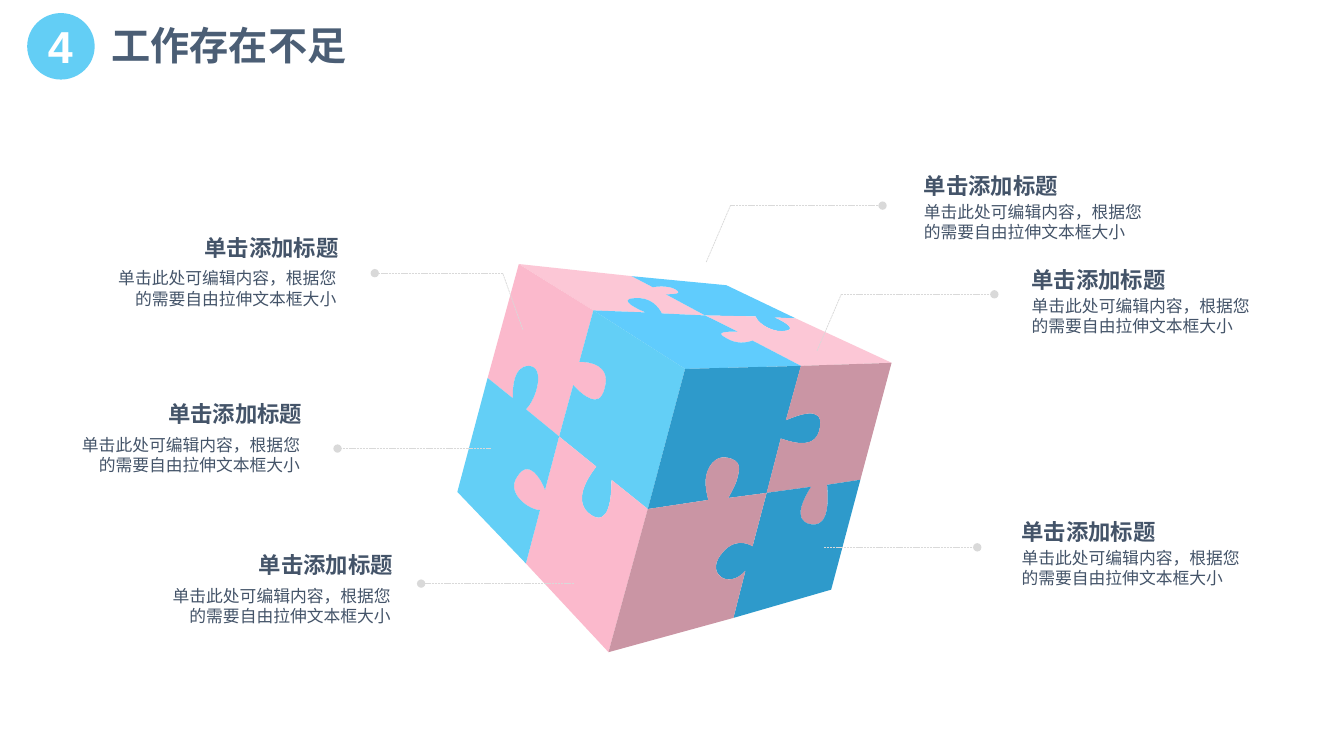
import dataclasses
import math

import lxml.etree
import pptx
import pptx.dml.color
import pptx.enum.dml
import pptx.enum.shapes
import pptx.enum.text
import pptx.oxml.ns
import pptx.util

COLUMNS, ROWS = 1334, 750
TILT = 15
TITLE = "单击添加标题"
BODY = "单击此处可编辑内容，根据您的需要自由拉伸文本框大小"
LEFT_NOTES = [(113, 232), (77, 397), (167, 547)]
RIGHT_NOTES = [(1024, 264), (917, 171), (1014, 514)]
LEADERS = [
    [(701, 260), (725, 204), (876, 204)],
    [(811, 348), (835, 292), (987, 292)],
    [(818, 543), (970, 543)],
    [(519, 327), (499, 271), (372, 271)],
    [(487, 445), (335, 445)],
    [(570, 579), (418, 579)],
]
TOP_CORNERS = [(515, 262), (721, 283), (885, 360), (680, 366)]
TOP_SEAMS = [
    [(700, 313), (661, 292), (667, 292), (676, 292), (673, 289),
     (667, 283), (653, 284), (648, 285), (627, 274)],
    [(700, 313), (750, 314), (753, 322), (769, 331), (781, 328),
     (790, 326), (778, 319), (769, 315), (790, 316)],
    [(700, 313), (732, 329), (722, 329), (709, 329), (720, 335),
     (731, 342), (741, 340), (747, 338), (795, 363)],
    [(700, 313), (657, 311), (654, 305), (646, 294), (629, 296),
     (614, 297), (631, 306), (641, 310), (589, 308)],
]
LEFT_CORNERS = [(515, 262), (680, 366), (604, 647), (454, 488)]
LEFT_SEAMS = [
    [(555, 433), (569, 382), (579, 393), (595, 406), (600, 386),
     (607, 362), (586, 359), (575, 359), (589, 308)],
    [(555, 433), (592, 463), (584, 473), (567, 498), (587, 511),
     (604, 522), (607, 495), (607, 476), (643, 505)],
    [(555, 433), (541, 486), (537, 475), (525, 455), (514, 472),
     (501, 489), (525, 506), (536, 506), (522, 559)],
    [(555, 433), (522, 406), (532, 397), (542, 364), (525, 363),
     (509, 363), (509, 386), (509, 395), (484, 375)],
]
RIGHT_CORNERS = [(680, 366), (885, 360), (825, 585), (604, 647)]
RIGHT_SEAMS = [
    [(761, 489), (775, 435), (787, 439), (811, 447), (814, 423),
     (817, 402), (792, 412), (780, 417), (795, 363)],
    [(761, 489), (805, 483), (798, 494), (786, 516), (804, 520),
     (824, 524), (822, 495), (821, 481), (854, 476)],
    [(761, 489), (747, 542), (742, 539), (728, 533), (715, 551),
     (701, 570), (724, 585), (740, 566), (728, 613)],
    [(761, 489), (723, 494), (725, 490), (731, 480), (732, 474),
     (734, 466), (737, 457), (722, 454), (709, 451), (702, 465),
     (701, 472), (699, 480), (702, 492), (703, 496), (643, 505)],
]


@dataclasses.dataclass(frozen=True)
class Theme:
    """Colours, type sizes and font of the slide."""
    font: str = "Arial"
    ink: str = "445469"
    heading: str = "4B5E75"
    white: str = "FFFFFF"
    leader: str = "D9D9D9"
    badge: str = "00B0F0"
    top: tuple = ("FCC7D6", "60CCFD")
    left: tuple = ("FBB9CC", "63CFF6")
    right: tuple = ("2E9ACB", "CA95A4")
    number_size: int = 32
    heading_size: int = 28
    title_size: int = 16
    body_size: int = 12


def turn(point, degrees):
    """Turn a point clockwise about the slide's top left corner."""
    x, y = point
    cos, sin = math.cos(math.radians(degrees)), math.sin(math.radians(degrees))
    return x * cos - y * sin, x * sin + y * cos


class Builder:
    """Draws elements on a slide, measured in columns and rows."""

    def __init__(self, prs, theme):
        """Add a blank slide and keep its grid."""
        self.theme = theme
        self.s = prs.slides.add_slide(prs.slide_layouts[6])
        self.column = prs.slide_width / COLUMNS
        self.row = prs.slide_height / ROWS

    def place(self, x, y):
        """Turn a column and a row into slide lengths."""
        return round(x * self.column), round(y * self.row)

    def fill(self, sp, color):
        """Give a shape a flat fill without outline or shadow."""
        sp.shadow.inherit = False
        sp.fill.solid()
        sp.fill.fore_color.rgb = pptx.dml.color.RGBColor.from_string(color)
        sp.line.fill.background()

    def text(self, words, x, y, w, h, size, color, bold=False, align="LEFT", inset=(0, 0)):
        """Add a text box with one paragraph."""
        tf = self.s.shapes.add_textbox(*self.place(x, y), *self.place(w, h)).text_frame
        tf.word_wrap = True
        tf.auto_size = pptx.enum.text.MSO_AUTO_SIZE.SHAPE_TO_FIT_TEXT
        tf.margin_left = tf.margin_right = round(inset[0] * self.column)
        tf.margin_top = tf.margin_bottom = round(inset[1] * self.row)
        p = tf.paragraphs[0]
        p.text = words
        p.alignment = getattr(pptx.enum.text.PP_ALIGN, align)
        p.font.size = pptx.util.Pt(size)
        p.font.bold = bold
        p.font.color.rgb = pptx.dml.color.RGBColor.from_string(color)
        p.font.name = self.theme.font
        props = p._p.pPr.find(pptx.oxml.ns.qn("a:defRPr"))
        lxml.etree.SubElement(props, pptx.oxml.ns.qn("a:ea"), typeface=self.theme.font)

    def note(self, x, y, align, gap, shift):
        """Add a title with its body text below."""
        t = self.theme
        self.text(TITLE, x + shift, y, 214, 27, t.title_size, t.ink, True, align)
        self.text(BODY, x, y + gap, 221, 40, t.body_size, t.ink, False, align)

    def piece(self, outline, curve_starts, color):
        """Draw a tilted piece, each curve taking three outline points."""
        points = [turn(self.place(*point), -TILT) for point in outline]
        builder = self.s.shapes.build_freeform(*points[0], scale=1.0)
        builder.add_line_segments(points[1:], close=True)
        sp = builder.convert_to_shape()
        lines = list(sp._element.iter(pptx.oxml.ns.qn("a:lnTo")))
        for k in curve_starts:
            curve = lxml.etree.Element(pptx.oxml.ns.qn("a:cubicBezTo"))
            lines[k].addprevious(curve)
            for line in lines[k:k + 3]:
                curve.append(line[0])
                line.getparent().remove(line)
        x, y = turn((sp.left + sp.width / 2, sp.top + sp.height / 2), TILT)
        sp.left, sp.top = round(x - sp.width / 2), round(y - sp.height / 2)
        sp.rotation = TILT
        self.fill(sp, color)

    def face(self, corners, seams, colors):
        """Draw one cube face as four interlocking pieces."""
        for i, corner in enumerate(corners):
            inward, outward = seams[i][::-1], seams[i - 1][1:]
            n = len(inward)
            starts = [*range(2, n - 1, 3), *range(n + 1, n + len(outward) - 1, 3)]
            self.piece([corner] + inward + outward, starts, colors[i % 2])

    def leader(self, points):
        """Draw a dashed leader that ends in a dot."""
        for start, end in zip(points, points[1:]):
            sp = self.s.shapes.add_connector(
                pptx.enum.shapes.MSO_CONNECTOR.STRAIGHT, *self.place(*start), *self.place(*end))
            sp.line.color.rgb = pptx.dml.color.RGBColor.from_string(self.theme.leader)
            sp.line.width = pptx.util.Pt(0.5)
            sp.line.dash_style = pptx.enum.dml.MSO_LINE.SQUARE_DOT
            if end == points[-1]:
                ln = sp.line._get_or_add_ln()
                lxml.etree.SubElement(ln, pptx.oxml.ns.qn("a:tailEnd"), type="oval")
            lxml.etree.SubElement(sp._element.spPr, pptx.oxml.ns.qn("a:effectLst"))

    def header(self, number, heading):
        """Draw the numbered badge and the slide heading."""
        t = self.theme
        sp = self.s.shapes.add_shape(
            pptx.enum.shapes.MSO_SHAPE.OVAL, *self.place(27, 13), *self.place(67, 66))
        self.fill(sp, t.badge)
        color = sp._element.spPr.find(".//" + pptx.oxml.ns.qn("a:srgbClr"))
        lxml.etree.SubElement(color, pptx.oxml.ns.qn("a:alpha"), val="61000")
        self.text(number, 34, 14, 52, 64, t.number_size, t.white, True, "CENTER", (10, 5))
        self.text(heading, 101, 16, 364, 57, t.heading_size, t.heading, True, "LEFT", (10, 5))


def main():
    """Build the slide and save it."""
    prs = pptx.Presentation()
    prs.slide_width = pptx.util.Inches(13.34)
    prs.slide_height = pptx.util.Inches(7.5)
    theme = Theme()
    b = Builder(prs, theme)
    b.face(TOP_CORNERS, TOP_SEAMS, theme.top)
    b.face(LEFT_CORNERS, LEFT_SEAMS, theme.left)
    b.face(RIGHT_CORNERS, RIGHT_SEAMS, theme.right)
    for points in LEADERS:
        b.leader(points)
    for x, y in LEFT_NOTES:
        b.note(x, y, "RIGHT", 34, 9)
    for x, y in RIGHT_NOTES:
        b.note(x, y, "LEFT", 29, 0)
    b.header("4", "工作存在不足")
    prs.save("out.pptx")


if __name__ == "__main__":
    main()
